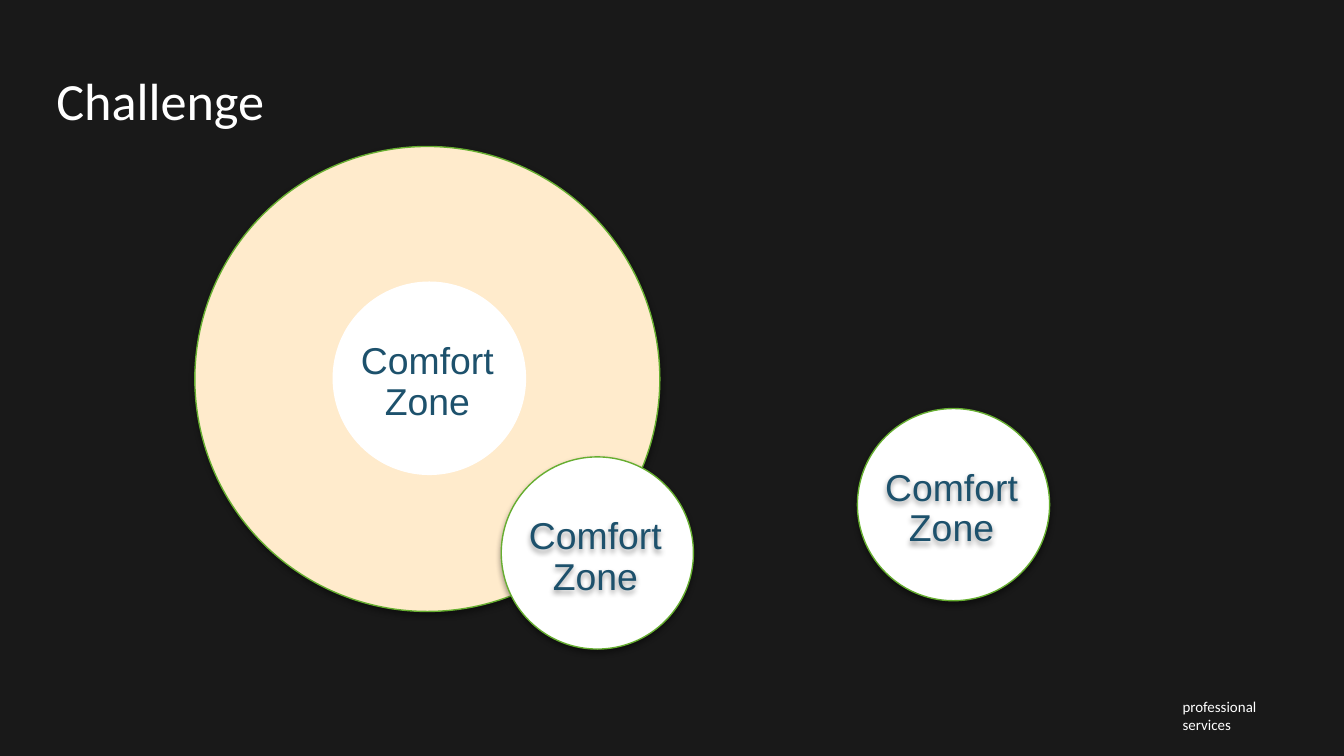
from dataclasses import dataclass

from lxml import etree
from pptx import Presentation
from pptx.dml.color import RGBColor
from pptx.enum import shapes, text
from pptx.oxml.ns import qn
from pptx.util import Inches, Pt


@dataclass(frozen=True)
class Theme:
    background: str = "191919"
    white: str = "FFFFFF"
    ring: str = "FFEBCC"
    outline: str = "66AE30"
    label: str = "1D516C"
    shadow: str = "000000"
    heading_font: str = "Calibri"
    label_font: str = "Arial"
    title_size: float = 28
    label_size: float = 20
    footer_size: float = 8


THEME = Theme()
SLIDE_WIDTH = 10
SLIDE_HEIGHT = SLIDE_WIDTH * 9 / 16
ZONE_SIZE = 1.43


def write_text(shape, content, *, size, font, color, align=text.PP_ALIGN.LEFT,
               margins=(0.1, 0.05), line_spacing=None, space_after=None):
    frame = shape.text_frame
    frame.word_wrap = True
    frame.vertical_anchor = text.MSO_ANCHOR.TOP
    frame.margin_left = frame.margin_right = Inches(margins[0])
    frame.margin_top = frame.margin_bottom = Inches(margins[1])
    paragraph = frame.paragraphs[0]
    paragraph.text = content
    paragraph.alignment = align
    paragraph.line_spacing = line_spacing
    if space_after is not None:
        paragraph.space_after = Pt(space_after)
    for run in paragraph.runs:
        run.font.size = Pt(size)
        run.font.name = font
        run.font.color.rgb = RGBColor.from_string(color)


def add_shadow(shape):
    """Give the shape a soft shadow straight below it."""
    shape.shadow.inherit = False
    effects = shape._element.spPr.find(qn("a:effectLst"))
    shadow = etree.SubElement(
        effects, qn("a:outerShdw"), blurRad=str(Pt(3.1)), dist=str(Pt(1.6)),
        dir="5400000", rotWithShape="0")
    color = etree.SubElement(shadow, qn("a:srgbClr"), val=THEME.shadow)
    etree.SubElement(color, qn("a:alpha"), val="38000")


def add_circle(parent, left, top, diameter, fill, line, shadow):
    circle = parent.shapes.add_shape(
        shapes.MSO_SHAPE.OVAL, Inches(left), Inches(top),
        Inches(diameter), Inches(diameter))
    circle.shadow.inherit = False
    circle.fill.solid()
    circle.fill.fore_color.rgb = RGBColor.from_string(fill)
    circle.line.color.rgb = RGBColor.from_string(line)
    circle.line.width = Pt(0.75)
    if shadow:
        add_shadow(circle)


def add_text_box(parent, left, top, width, height, content, **text_format):
    box = parent.shapes.add_textbox(
        Inches(left), Inches(top), Inches(width), Inches(height))
    write_text(box, content, **text_format)
    return box


def add_comfort_zone(slide, left, top, line, shadow):
    """Group a white circle with its label."""
    group = slide.shapes.add_group_shape()
    add_circle(group, left, top, ZONE_SIZE, THEME.white, line, shadow)
    label = add_text_box(
        group, left - 0.11, top + 0.35, 1.62, 0.81, "Comfort Zone",
        size=THEME.label_size, font=THEME.label_font, color=THEME.label,
        align=text.PP_ALIGN.CENTER, margins=(0.12, 0.1),
        line_spacing=0.9, space_after=11.2)
    if shadow:
        add_shadow(label)


def add_title(slide, content):
    title = slide.shapes.title
    title.left, title.top = Inches(0.22), Inches(0.35)
    title.width, title.height = Inches(9.56), Inches(0.74)
    write_text(title, content, size=THEME.title_size, font=THEME.heading_font,
               color=THEME.white, margins=(0.2, 0.16))


def main():
    presentation = Presentation()
    presentation.slide_width = Inches(SLIDE_WIDTH)
    presentation.slide_height = Inches(SLIDE_HEIGHT)
    slide = presentation.slides.add_slide(presentation.slide_layouts[5])
    slide.background.fill.solid()
    slide.background.fill.fore_color.rgb = RGBColor.from_string(THEME.background)

    add_text_box(slide, 8.7, 5.14, 1.45, 0.37, "professional\vservices",
                 size=THEME.footer_size, font=THEME.heading_font, color=THEME.white)
    add_circle(slide, 1.45, 1.09, 3.46, THEME.ring, THEME.outline, shadow=True)
    add_title(slide, "Challenge")
    add_comfort_zone(slide, 2.48, 2.1, THEME.white, shadow=False)
    for left, top in ((3.73, 3.4), (6.38, 3.04)):
        add_comfort_zone(slide, left, top, THEME.outline, shadow=True)

    presentation.save("out.pptx")


if __name__ == "__main__":
    main()
